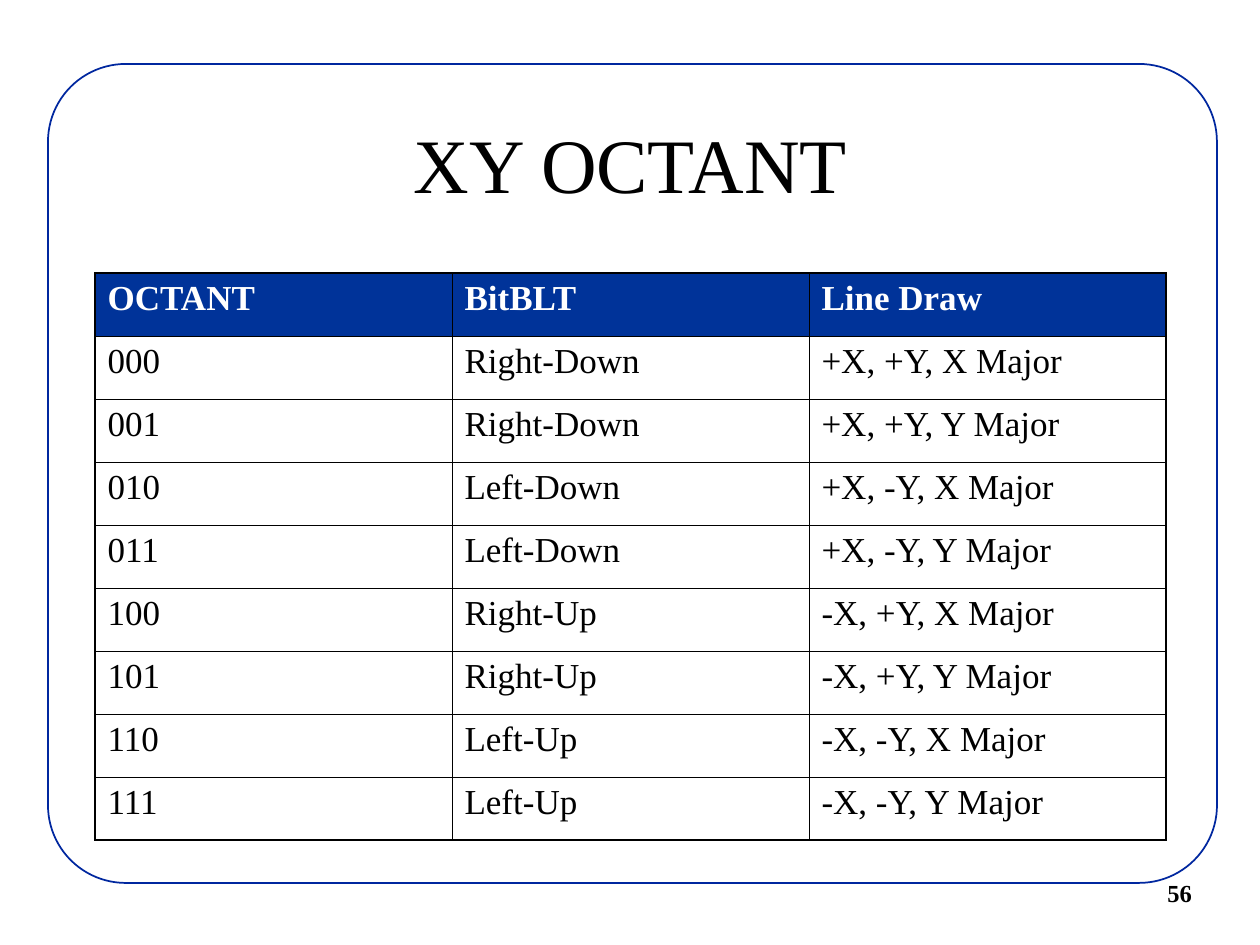
from lxml.etree import SubElement
from pptx import Presentation
from pptx.dml.color import RGBColor
from pptx.enum.shapes import MSO_SHAPE
from pptx.enum.text import MSO_ANCHOR, PP_ALIGN
from pptx.oxml.ns import qn
from pptx.util import Emu, Pt

PX = 914400 / 126
FONT = "Times New Roman"
BLACK, WHITE, FRAME_BLUE, HEADER_BLUE = "000000", "FFFFFF", "00279F", "003399"
OUTER_LINE, INNER_LINE = Pt(1.08), Pt(0.45)

OCTANTS = [
    ("OCTANT", "BitBLT", "Line Draw"),
    ("000", "Right-Down", "+X, +Y, X Major"),
    ("001", "Right-Down", "+X, +Y, Y Major"),
    ("010", "Left-Down", "+X, -Y, X Major"),
    ("011", "Left-Down", "+X, -Y, Y Major"),
    ("100", "Right-Up", "-X, +Y, X Major"),
    ("101", "Right-Up", "-X, +Y, Y Major"),
    ("110", "Left-Up", "-X, -Y, X Major"),
    ("111", "Left-Up", "-X, -Y, Y Major"),
]


def px(length):
    return Emu(round(length * PX))


def rgb(color):
    return RGBColor.from_string(color)


def write(frame, text, size, color=BLACK, bold=False, align=PP_ALIGN.LEFT):
    paragraph = frame.paragraphs[0]
    paragraph.text = text
    paragraph.alignment = align
    font = paragraph.font
    font.name, font.size, font.bold = FONT, Pt(size), bold
    font.color.rgb = rgb(color)


def add_frame(slide, *box):
    frame = slide.shapes.add_shape(MSO_SHAPE.ROUNDED_RECTANGLE, *map(px, box))
    frame.adjustments[0] = 0.095
    frame.shadow.inherit = False
    frame.fill.solid()
    frame.fill.fore_color.rgb = rgb(WHITE)
    frame.line.color.rgb = rgb(FRAME_BLUE)
    frame.line.width = Pt(1)


def add_label(slide, text, size, *box, anchor=MSO_ANCHOR.TOP, **style):
    label = slide.shapes.add_textbox(*map(px, box)).text_frame
    label.word_wrap = True
    label.vertical_anchor = anchor
    write(label, text, size, **style)


def set_borders(cell, widths):
    """Draw black lines on the left, right, top and bottom, in that order."""
    properties = cell._tc.get_or_add_tcPr()
    for position, (side, width) in enumerate(zip("LRTB", widths)):
        border = SubElement(properties, qn(f"a:ln{side}"), w=str(width))
        fill = SubElement(border, qn("a:solidFill"))
        SubElement(fill, qn("a:srgbClr"), val=BLACK)
        properties.insert(position, border)


def add_octant_table(slide, left, top, width, height):
    last_row, last_column = len(OCTANTS) - 1, len(OCTANTS[0]) - 1
    graphic = slide.shapes.add_table(last_row + 1, last_column + 1,
                                     px(left), px(top), px(width), px(height))
    table = graphic.table
    for r, values in enumerate(OCTANTS):
        header = r == 0
        for c, value in enumerate(values):
            cell = table.cell(r, c)
            write(cell.text_frame, value, 20, WHITE if header else BLACK, header)
            if header:
                cell.fill.solid()
                cell.fill.fore_color.rgb = rgb(HEADER_BLUE)
            else:
                cell.fill.background()
            on_edge = (c == 0, c == last_column, r == 0, r == last_row)
            set_borders(cell, [OUTER_LINE if edge else INNER_LINE
                               for edge in on_edge])


def main():
    deck = Presentation()
    deck.slide_width, deck.slide_height = px(1260), px(945)
    slide = deck.slides.add_slide(deck.slide_layouts[6])
    add_frame(slide, 48, 64, 1169, 819)
    add_label(slide, "56", 14, 1155, 872, 105, 42, bold=True)
    add_label(slide, "XY OCTANT", 44, 95, 84, 1071, 158,
              anchor=MSO_ANCHOR.MIDDLE, align=PP_ALIGN.CENTER)
    add_octant_table(slide, 95, 273, 1071, 567)
    deck.save("out.pptx")


if __name__ == "__main__":
    main()
